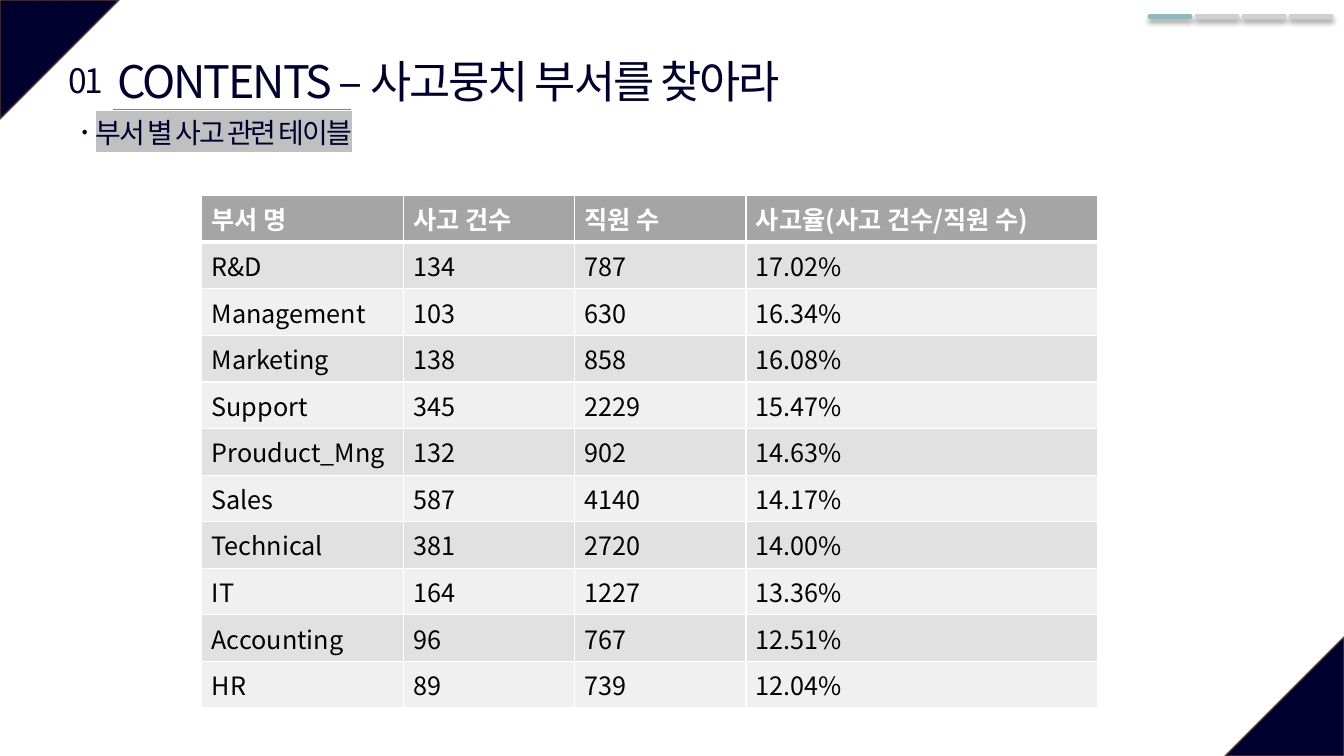
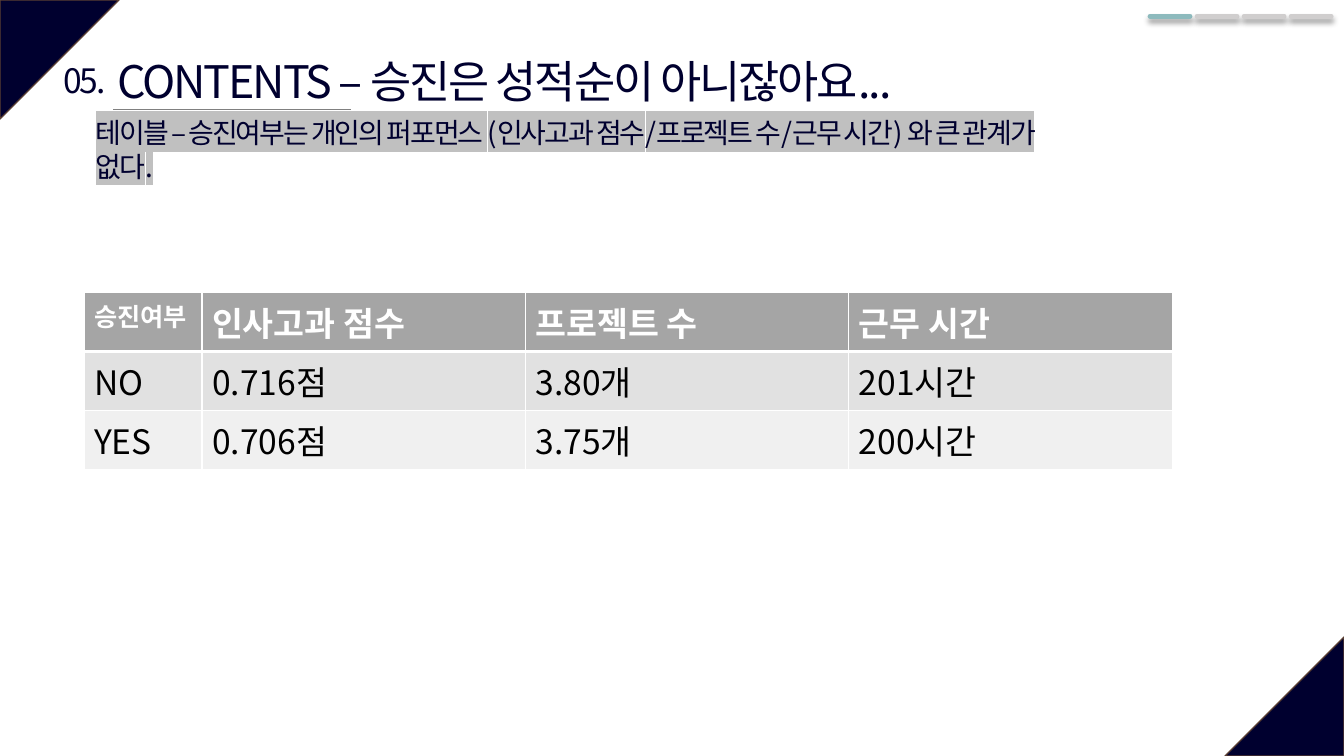
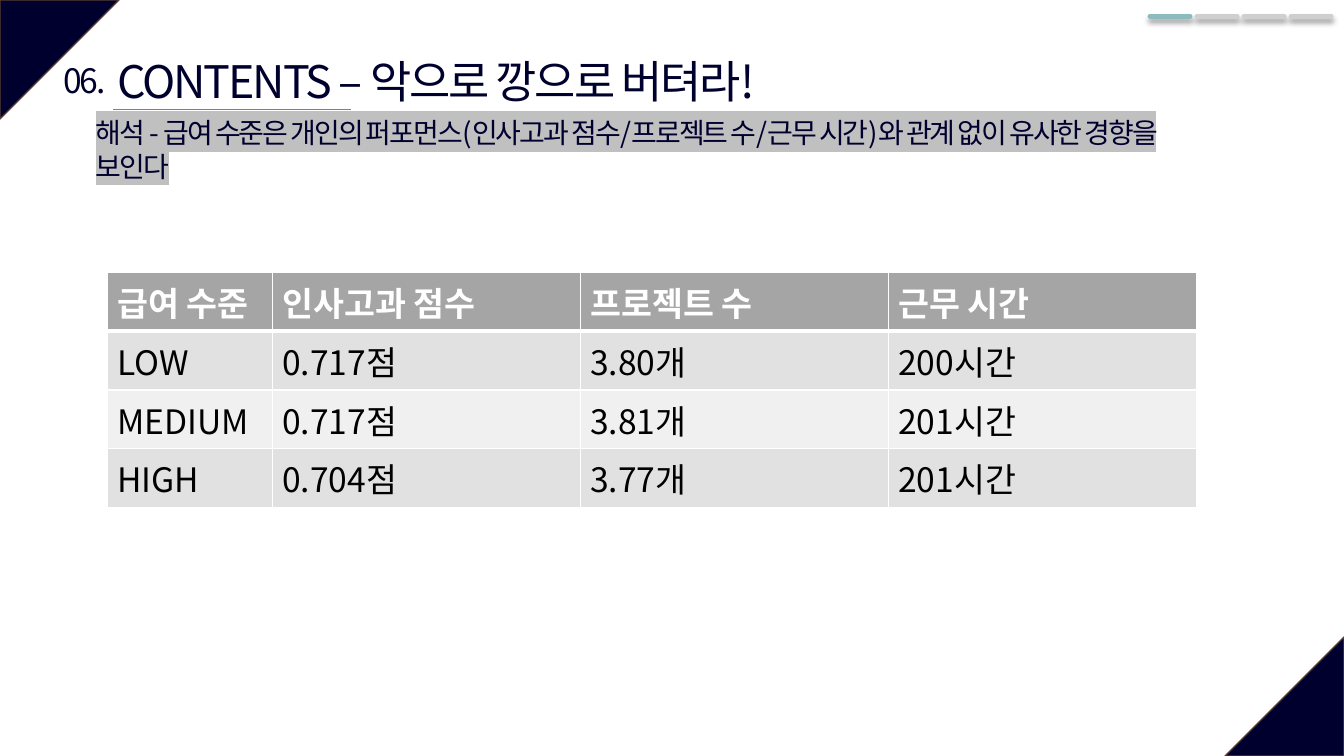
import pptx
import pptx.dml.color
import pptx.enum.shapes
import pptx.enum.text
import pptx.oxml
import pptx.oxml.ns
import pptx.util

Pt = pptx.util.Pt
RGBColor = pptx.dml.color.RGBColor

NAVY = RGBColor(0x00, 0x00, 0x2F)
BROWN = RGBColor(0x5B, 0x3F, 0x33)
WHITE = RGBColor(0xFF, 0xFF, 0xFF)
BLACK = RGBColor(0x00, 0x00, 0x00)
RULE_GREY = RGBColor(0x80, 0x80, 0x80)
HIGHLIGHT = RGBColor(0xC0, 0xC0, 0xC0)
TEAL = RGBColor(0x8D, 0xBA, 0xBD)
STEP_GREY = RGBColor(0xD0, 0xCE, 0xCE)
HEADER_GREY = RGBColor(0xA5, 0xA5, 0xA5)
BANDS = (RGBColor(0xE1, 0xE1, 0xE1), RGBColor(0xF0, 0xF0, 0xF0))
FONT = "Noto Sans CJK KR"
SLIDE_WIDTH, SLIDE_HEIGHT = 960, 540
CORNER = 85


def make_element(xml):
    """Parse a drawing element, declaring its namespace."""
    return pptx.oxml.parse_xml(xml.replace(
        ">", f' {pptx.oxml.ns.nsdecls("a")}>', 1))


def write_text(frame, text, size=18, color=NAVY, bold=False, spacing=0, highlight=None,
               align=None, wrap=True):
    """Write one formatted paragraph into a text frame."""
    frame.word_wrap = wrap
    paragraph = frame.paragraphs[0]
    paragraph.alignment = align
    run = paragraph.add_run()
    run.text = text
    font = run.font
    font.size, font.bold, font.name = Pt(size), bold, FONT
    font.color.rgb = color
    properties = run.font._element
    latin = properties.find(pptx.oxml.ns.qn("a:latin"))
    latin.addnext(make_element(f'<a:ea typeface="{FONT}"></a:ea>'))
    if spacing:
        properties.set("spc", str(int(spacing * 100)))
    if highlight is not None:
        latin.addprevious(make_element(
            f'<a:highlight><a:srgbClr val="{highlight}"/></a:highlight>'))


def add_text(slide, box, text, **text_format):
    """Add a text box that grows with its text."""
    shape = slide.shapes.add_textbox(*map(Pt, box))
    write_text(shape.text_frame, text, spacing=-1.5, **text_format)
    shape.text_frame.auto_size = pptx.enum.text.MSO_AUTO_SIZE.SHAPE_TO_FIT_TEXT


def add_rule(slide, left, top, width, color, weight, effects=""):
    """Add a horizontal line with the given effects only."""
    line = slide.shapes.add_connector(
        pptx.enum.shapes.MSO_CONNECTOR.STRAIGHT, Pt(left), Pt(top), Pt(left + width), Pt(top))
    line.line.color.rgb = color
    line.line.width = Pt(weight)
    line._element.spPr.append(make_element(f"<a:effectLst>{effects}</a:effectLst>"))
    return line


def add_corner(slide, left, top, rotation):
    """Add a dark triangle filling one corner of the slide."""
    shape = slide.shapes.add_shape(
        pptx.enum.shapes.MSO_SHAPE.ISOSCELES_TRIANGLE, Pt(left), Pt(top), Pt(CORNER), Pt(CORNER))
    shape.adjustments[0] = 0
    shape.rotation = rotation
    shape.shadow.inherit = False
    shape.fill.solid()
    shape.fill.fore_color.rgb = NAVY
    shape.line.color.rgb = BROWN
    shape.line.width = Pt(1)


def add_progress(slide, left, top, step=33.6, length=28.5, count=4):
    """Add the row of shadowed progress marks, the first one lit."""
    shadow = ('<a:outerShdw blurRad="50800" dist="38100" dir="5400000" algn="t" rotWithShape="0">'
              '<a:srgbClr val="000000"><a:alpha val="40000"/></a:srgbClr></a:outerShdw>')
    for index in range(count):
        color = STEP_GREY if index else TEAL
        mark = add_rule(slide, left + index * step, top, length, color, 3.5, shadow)
        mark.line._get_or_add_ln().set("cap", "rnd")


def add_heading(slide, left, top, number, number_width, title, subtitle, subtitle_width):
    """Add number, title, rule and highlighted subtitle."""
    add_rule(slide, left + 4.3, top + 43.5, 170, RULE_GREY, 0.5)
    add_text(slide, (left, top, 708, 46), f"CONTENTS – {title}", size=32)
    add_text(slide, (left - 16 - number_width / 2, top + 5, number_width, 36), number,
             size=24, wrap=False, align=pptx.enum.text.PP_ALIGN.CENTER)
    add_text(slide, (left - 15, top + 44.5, subtitle_width, 31.5), subtitle,
             size=20, highlight=HIGHLIGHT)


def style_cell(cell, fill, top, bottom):
    """Fill a cell and give it white borders."""
    cell.fill.solid()
    cell.fill.fore_color.rgb = fill
    properties = cell._tc.get_or_add_tcPr()
    for index, (side, weight) in enumerate((("L", 1), ("R", 1), ("T", top), ("B", bottom))):
        properties.insert(index, make_element(
            f'<a:ln{side} w="{Pt(weight)}"><a:solidFill><a:srgbClr val="{WHITE}"/>'
            f"</a:solidFill></a:ln{side}>"))


def add_data_table(slide, left, top, widths, row_height, rows, size, first_size=None):
    """Add a table with a grey header and banded rows."""
    table = slide.shapes.add_table(
        len(rows), len(widths), Pt(left), Pt(top),
        Pt(sum(widths)), Pt(row_height * len(rows))).table
    for column, width in zip(table.columns, widths):
        column.width = Pt(width)
    for row_index, values in enumerate(rows):
        table.rows[row_index].height = Pt(row_height)
        header = row_index == 0
        fill = HEADER_GREY if header else BANDS[(row_index - 1) % 2]
        for column_index, value in enumerate(values):
            cell = table.cell(row_index, column_index)
            style_cell(cell, fill, 3 if row_index == 1 else 1, 3 if header else 1)
            first = header and column_index == 0
            write_text(cell.text_frame, value, size=first_size if first and first_size else size,
                       color=WHITE if header else BLACK, bold=header)


def add_content_slide(presentation, heading, table):
    """Add one slide with the shared frame, a heading and a table."""
    slide = presentation.slides.add_slide(presentation.slide_layouts[6])
    add_corner(slide, 0, 0, 90)
    add_corner(slide, SLIDE_WIDTH - CORNER, SLIDE_HEIGHT - CORNER, 270)
    add_data_table(slide, **table)
    add_heading(slide, 76.5, 34.5, **heading)
    add_progress(slide, 821.5, 11.5)


def main():
    """Build and save the presentation."""
    presentation = pptx.Presentation()
    presentation.slide_width, presentation.slide_height = Pt(SLIDE_WIDTH), Pt(SLIDE_HEIGHT)
    measures = ("인사고과 점수", "프로젝트 수", "근무 시간")
    add_content_slide(
        presentation,
        dict(number="01.", number_width=43.2, title="사고뭉치 부서를 찾아라",
             subtitle="부서 별 사고 관련 테이블", subtitle_width=695),
        dict(left=144, top=139.7, widths=(144, 122.4, 122.4, 251), row_height=29.2, size=18, rows=(
            ("부서 명", "사고 건수", "직원 수", "사고율(사고 건수/직원 수)"),
            ("R&D", "134", "787", "17.02%"),
            ("Management", "103", "630", "16.34%"),
            ("Marketing", "138", "858", "16.08%"),
            ("Support", "345", "2229", "15.47%"),
            ("Prouduct_Mng", "132", "902", "14.63%"),
            ("Sales", "587", "4140", "14.17%"),
            ("Technical", "381", "2720", "14.00%"),
            ("IT", "164", "1227", "13.36%"),
            ("Accounting", "96", "767", "12.51%"),
            ("HR", "89", "739", "12.04%"))))
    add_content_slide(
        presentation,
        dict(number="05.", number_width=46.4, title="승진은 성적순이 아니잖아요...",
             subtitle="테이블 – 승진여부는 개인의 퍼포먼스 (인사고과 점수/프로젝트 수/근무 시간) "
                      "와 큰 관계가 없다.", subtitle_width=695),
        dict(left=60, top=209, widths=(84.3, 231, 231, 231), row_height=40.8, size=24,
             first_size=18, rows=(
                 ("승진여부", *measures),
                 ("NO", "0.716점", "3.80개", "201시간"),
                 ("YES", "0.706점", "3.75개", "200시간"))))
    add_content_slide(
        presentation,
        dict(number="06.", number_width=46.4, title="악으로 깡으로 버텨라!",
             subtitle="해석 - 급여 수준은 개인의 퍼포먼스(인사고과 점수/프로젝트 수/근무 시간)"
                      "와 관계 없이 유사한 경향을 보인다", subtitle_width=809),
        dict(left=76.5, top=194.5, widths=(118, 220, 220, 220), row_height=37.8, size=24, rows=(
            ("급여 수준", *measures),
            ("LOW", "0.717점", "3.80개", "200시간"),
            ("MEDIUM", "0.717점", "3.81개", "201시간"),
            ("HIGH", "0.704점", "3.77개", "201시간"))))
    presentation.save("out.pptx")


if __name__ == "__main__":
    main()
